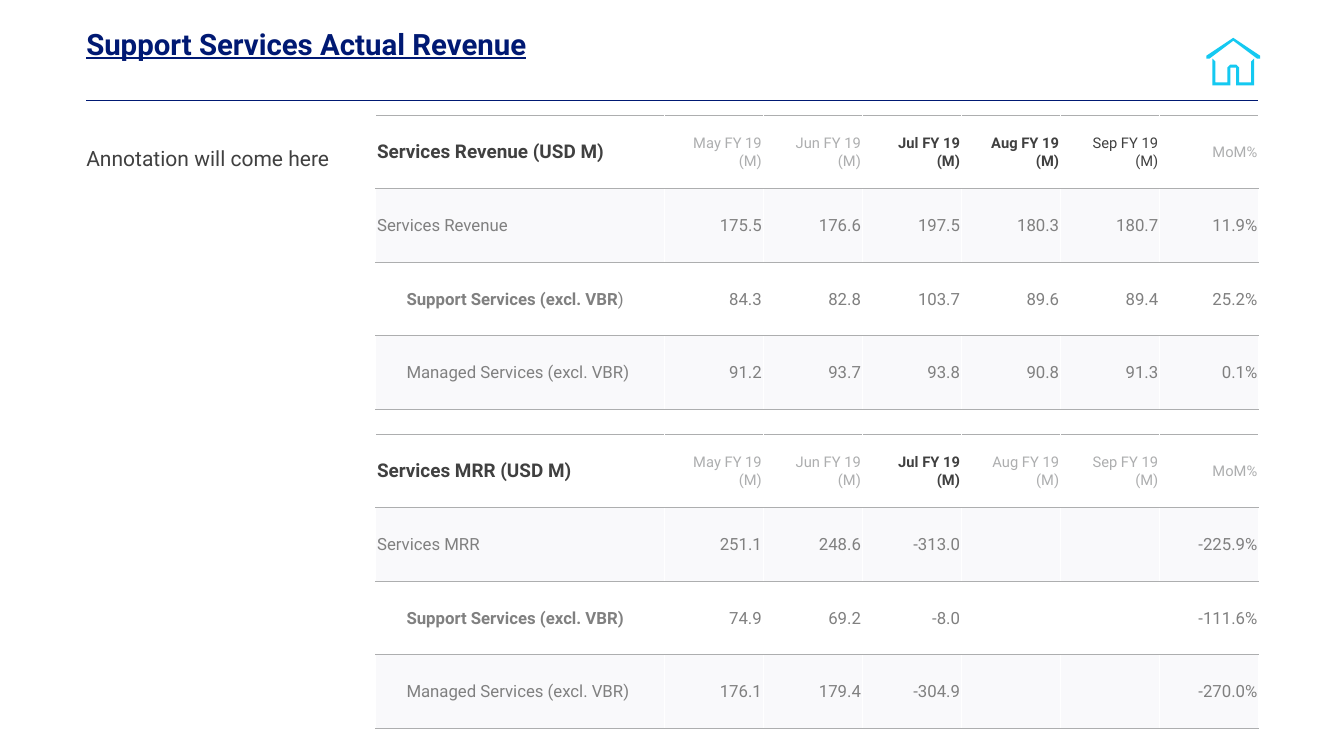
import pptx
import pptx.dml.color
import pptx.enum.shapes
import pptx.enum.text
import pptx.oxml.ns
import pptx.util
from lxml import etree

Cm = pptx.util.Cm
Pt = pptx.util.Pt
RIGHT = pptx.enum.text.PP_ALIGN.RIGHT

FONT = "Roboto"
COLORS = {
    "navy": "001973",
    "cyan": "14C9F1",
    "dark": "404040",
    "body": "808080",
    "muted": "ADAEAF",
    "band": "F9F9FB",
    "white": "FFFFFF",
}
FORMATS = {
    "title": {"size": Pt(28), "bold": True, "underline": True},
    "annotation": {"size": Pt(20), "bold": False},
    "table_title": {"size": Pt(18), "bold": True},
    "month": {"size": Pt(14), "bold": False},
    "current_month": {"size": Pt(14), "bold": True},
    "value": {"size": Pt(16), "bold": False},
    "focus": {"size": Pt(16), "bold": True},
}
CELL_FORMAT = {
    "vertical_anchor": pptx.enum.text.MSO_ANCHOR.MIDDLE,
    "margin_left": Cm(0.05),
    "margin_right": Cm(0.05),
    "margin_top": Cm(0.05),
    "margin_bottom": 0,
}
FRAME_FORMAT = {
    "word_wrap": True,
    "margin_left": 0,
    "margin_right": 0,
    "margin_top": Cm(0.03),
    "margin_bottom": 0,
}
BORDERS = {
    "lnL": ("white", 1),
    "lnR": ("white", 1),
    "lnT": ("muted", 0.25),
    "lnB": ("muted", 0.25),
}
LABEL_WIDTH, VALUE_WIDTH, ROW_HEIGHT = 9.7, 3.33, 2.47
INDENT = 1.04
MONTHS = ["May FY 19", "Jun FY 19", "Jul FY 19", "Aug FY 19", "Sep FY 19"]

# Each row: label runs, indented or not, values
REVENUE = {
    "title": "Services Revenue (USD M)",
    "dark_months": {"Jul FY 19": "current_month", "Aug FY 19": "current_month",
                    "Sep FY 19": "month"},
    "rows": [
        ([("Services Revenue", "value")], False,
         ["175.5", "176.6", "197.5", "180.3", "180.7", "11.9%"]),
        ([("Support Services (excl. VBR", "focus"), (")", "value")], True,
         ["84.3", "82.8", "103.7", "89.6", "89.4", "25.2%"]),
        ([("Managed Services (excl. VBR)", "value")], True,
         ["91.2", "93.7", "93.8", "90.8", "91.3", "0.1%"]),
    ],
}
MRR = {
    "title": "Services MRR (USD M)",
    "dark_months": {"Jul FY 19": "current_month"},
    "rows": [
        ([("Services MRR", "value")], False,
         ["251.1", "248.6", "-313.0", "", "", "-225.9%"]),
        ([("Support Services (excl. VBR)", "focus")], True,
         ["74.9", "69.2", "-8.0", "", "", "-111.6%"]),
        ([("Managed Services (excl. VBR)", "value")], True,
         ["176.1", "179.4", "-304.9", "", "", "-270.0%"]),
    ],
}

# Left halves of the symmetric house outlines, in millimetres
HOUSE_AXIS = 9
ROOF = [(9, 0), (8.8, 0), (0.2, 6.4), (0, 6.8), (0.2, 7.2), (0.6, 7.4), (9, 1)]
WALLS = [(9, 8.9), (8.1, 8.9), (6.9, 10.2), (6.6, 11.2), (6.6, 15.2), (2.8, 15.2),
         (2.8, 7.6), (2.4, 7.4), (2, 7.6), (2, 16), (2.3, 16.3), (7.3, 16.3),
         (7.6, 16), (7.6, 11.2), (7.8, 10.4), (8.3, 9.9), (9, 9.7)]


def color(name):
    return pptx.dml.color.RGBColor.from_string(COLORS[name])


def set_attributes(target, values):
    for name, value in values.items():
        setattr(target, name, value)


def add_run(paragraph, text, format_name, color_name):
    run = paragraph.add_run()
    run.text = text
    run.font.name = FONT
    set_attributes(run.font, FORMATS[format_name])
    run.font.color.rgb = color(color_name)


def add_text(slide, box, text, format_name, color_name, spacing):
    text_box = slide.shapes.add_textbox(*map(Cm, box))
    set_attributes(text_box.text_frame, FRAME_FORMAT)
    paragraph = text_box.text_frame.paragraphs[0]
    set_attributes(paragraph, spacing)
    add_run(paragraph, text, format_name, color_name)


def add_rule(slide, left, top, width):
    rule = slide.shapes.add_connector(
        pptx.enum.shapes.MSO_CONNECTOR.STRAIGHT,
        Cm(left), Cm(top), Cm(left + width), Cm(top))
    rule.line.color.rgb = color("navy")
    rule.line.width = Pt(0.75)
    etree.SubElement(rule._element.spPr, pptx.oxml.ns.qn("a:effectLst"))


def add_house(slide, left, top):
    for half in (ROOF, WALLS):
        mirrored = [(2 * HOUSE_AXIS - x, y) for x, y in reversed(half)]
        points = half + mirrored
        builder = slide.shapes.build_freeform(*points[0], scale=Cm(0.1))
        builder.add_line_segments(points[1:], close=True)
        shape = builder.convert_to_shape(Cm(left), Cm(top))
        shape.shadow.inherit = False
        shape.fill.solid()
        shape.fill.fore_color.rgb = color("cyan")
        shape.line.fill.background()


def style_cell(cell, fill_name):
    set_attributes(cell, CELL_FORMAT)
    properties = cell._tc.get_or_add_tcPr()
    for tag, (color_name, width) in BORDERS.items():
        line = etree.SubElement(properties, pptx.oxml.ns.qn(f"a:{tag}"), w=str(Pt(width)))
        fill = etree.SubElement(line, pptx.oxml.ns.qn("a:solidFill"))
        etree.SubElement(fill, pptx.oxml.ns.qn("a:srgbClr"), val=COLORS[color_name])
    cell.fill.solid()
    cell.fill.fore_color.rgb = color(fill_name)


def fill_cell(cell, lines, format_name, color_name):
    """Write right-aligned lines, one paragraph each."""
    frame = cell.text_frame
    for index, line in enumerate(lines):
        paragraph = frame.add_paragraph() if index else frame.paragraphs[0]
        paragraph.alignment = RIGHT
        if line:
            add_run(paragraph, line, format_name, color_name)


def add_services_table(slide, left, top, data):
    row_count, column_count = len(data["rows"]) + 1, len(MONTHS) + 2
    width = LABEL_WIDTH + VALUE_WIDTH * (column_count - 1)
    table = slide.shapes.add_table(
        row_count, column_count, Cm(left), Cm(top),
        Cm(width), Cm(ROW_HEIGHT * row_count)).table
    set_attributes(table, {"first_row": False, "horz_banding": False})
    for index, column in enumerate(table.columns):
        column.width = Cm(VALUE_WIDTH if index else LABEL_WIDTH)
    for index, row in enumerate(table.rows):
        row.height = Cm(ROW_HEIGHT)
        for cell in row.cells:
            style_cell(cell, "band" if index % 2 else "white")

    title = table.cell(0, 0).text_frame.paragraphs[0]
    add_run(title, data["title"], "table_title", "dark")
    for column, month in enumerate(MONTHS, 1):
        dark = month in data["dark_months"]
        fill_cell(table.cell(0, column), [month, "(M)"],
                  data["dark_months"].get(month, "month"), "dark" if dark else "muted")
    fill_cell(table.cell(0, column_count - 1), ["MoM%"], "month", "muted")

    for row, (label, indented, values) in enumerate(data["rows"], 1):
        label_cell = table.cell(row, 0)
        if indented:
            label_cell.margin_left = Cm(INDENT)
        for text, format_name in label:
            add_run(label_cell.text_frame.paragraphs[0], text, format_name, "body")
        for column, value in enumerate(values, 1):
            fill_cell(table.cell(row, column), [value], "value", "body")


def main():
    presentation = pptx.Presentation()
    presentation.slide_width, presentation.slide_height = Cm(45.16), Cm(25.4)
    slide = presentation.slides.add_slide(presentation.slide_layouts[6])
    add_text(slide, (2.9, 0.84, 28.37, 1.24), "Support Services Actual Revenue",
             "title", "navy", {"space_before": Pt(1)})
    add_house(slide, 40.54, 1.27)
    add_rule(slide, 2.9, 3.38, 39.37)
    add_text(slide, (2.9, 4.45, 9.5, 1.19), "Annotation will come here",
             "annotation", "dark", {"line_spacing": 1.5})
    for top, data in ((3.86, REVENUE), (14.58, MRR)):
        add_services_table(slide, 12.62, top, data)
    presentation.save("out.pptx")


if __name__ == "__main__":
    main()
